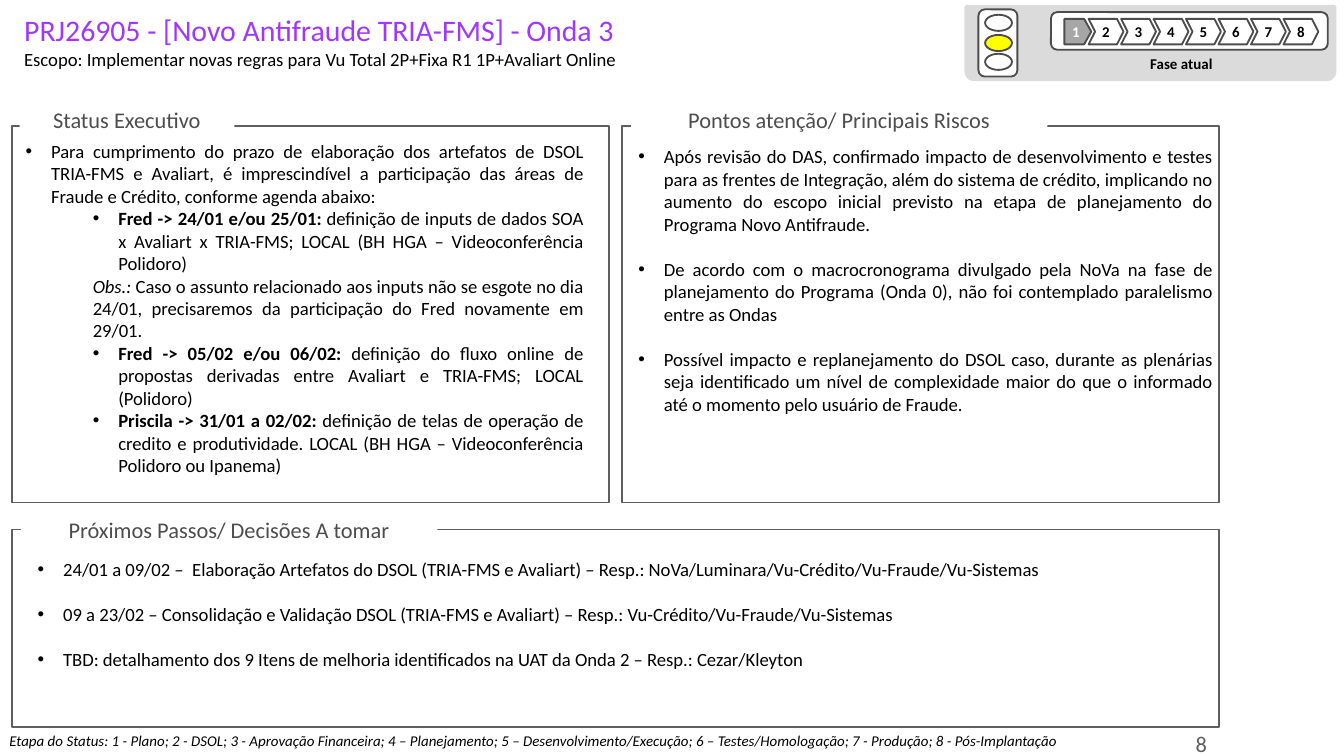
from lxml import etree
from pptx import Presentation
from pptx.dml.color import RGBColor
from pptx.enum import shapes, text
from pptx.oxml import ns
from pptx.util import Inches, Pt

BLACK = RGBColor(0x00, 0x00, 0x00)
WHITE = RGBColor(0xFF, 0xFF, 0xFF)
PURPLE = RGBColor(0xA0, 0x37, 0xFF)
DARK = RGBColor(0x4D, 0x4D, 0x4D)
MID = RGBColor(0x5F, 0x5F, 0x5F)
SILVER = RGBColor(0xA6, 0xA6, 0xA6)
PALE = RGBColor(0xDB, 0xDB, 0xDC)
YELLOW = RGBColor(0xFF, 0xFF, 0x00)

FORM = shapes.MSO_SHAPE
ALIGN = text.PP_ALIGN
ANCHOR = text.MSO_ANCHOR

prs = Presentation()
prs.slide_width, prs.slide_height = Inches(10), Inches(10 * 9 / 16)
slide = prs.slides.add_slide(prs.slide_layouts[4])  # Comparison


def draw(form, box, fill=None, line=DARK, weight=1, adjust=()):
    """Add a flat preset shape; without a fill it is hollow."""
    shape = slide.shapes.add_shape(form, *map(Inches, box))
    shape.shadow.inherit = False
    if fill is None:
        shape.fill.background()
    else:
        shape.fill.solid()
        shape.fill.fore_color.rgb = fill
    shape.line.color.rgb = line
    shape.line.width = Pt(weight)
    for i, value in enumerate(adjust):
        shape.adjustments[i] = value
    return shape


def write(shape, runs, size, color, align=ALIGN.LEFT, margins=(0.04, 0, 0.04, 0),
          anchor=ANCHOR.MIDDLE, wrap=False, paragraph=None):
    """Set the frame of a shape and add (text, style) runs to one paragraph."""
    frame = shape.text_frame
    settings = dict(word_wrap=wrap, auto_size=text.MSO_AUTO_SIZE.NONE,
                    vertical_anchor=anchor)
    for side, inches in zip(("left", "top", "right", "bottom"), margins):
        settings["margin_" + side] = Inches(inches)
    for name, value in settings.items():
        setattr(frame, name, value)
    paragraph = paragraph or frame.paragraphs[0]
    paragraph.alignment = align
    for words, style in runs:
        run = paragraph.add_run()
        run.text = words
        run.font.name, run.font.size = "Calibri", Pt(size)
        run.font.color.rgb = color
        run.font.bold, run.font.italic = style == "bold", style == "italic"
    return paragraph


# Heading
title = slide.shapes.title
title.left, title.top, title.width, title.height = map(Inches, (0.18, 0.09, 5.2, 0.58))
heading = write(title, [("PRJ26905 - [Novo Antifraude TRIA-FMS] - Onda 3", "")], 16, PURPLE,
                margins=(0, 0, 0, 0), anchor=ANCHOR.TOP, wrap=True)
heading.add_line_break()
write(title, [("Escopo: Implementar novas regras para Vu Total 2P+Fixa R1 1P+Avaliart Online", "")],
      10, BLACK, margins=(0, 0, 0, 0), anchor=ANCHOR.TOP, wrap=True)

# Lists: placeholder, box, margins, alignment, gap in points, items (indent, bulleted, runs)
status = [
    (0.19, True, [("Para cumprimento do prazo de elaboração dos artefatos de DSOL TRIA-FMS e "
                   "Avaliart, é imprescindível a participação das áreas de Fraude e Crédito, "
                   "conforme agenda abaixo:", "")]),
    (0.69, True, [("Fred -> 24/01 e/ou 25/01:", "bold"),
                  (" definição de inputs de dados SOA x Avaliart x TRIA-FMS; LOCAL "
                   "(BH HGA – Videoconferência Polidoro)", "")]),
    (0.5, False, [("Obs.:", "italic"),
                  (" Caso o assunto relacionado aos inputs não se esgote no dia 24/01, "
                   "precisaremos da participação do Fred novamente em 29/01.", "")]),
    (0.69, True, [("Fred -> 05/02 e/ou 06/02:", "bold"),
                  (" definição do fluxo online de propostas derivadas entre Avaliart e "
                   "TRIA-FMS; LOCAL (Polidoro)", "")]),
    (0.69, True, [("Priscila -> 31/01 a 02/02: ", "bold"),
                  ("definição de telas de operação de credito e produtividade. LOCAL "
                   "(BH HGA – Videoconferência Polidoro ou Ipanema)", "")]),
]
risks = [(0.19, True, [(words, "")]) for words in (
    "Após revisão do DAS, confirmado impacto de desenvolvimento e testes para as frentes de "
    "Integração, além do sistema de crédito, implicando no aumento do escopo inicial previsto "
    "na etapa de planejamento do Programa Novo Antifraude.",
    "De acordo com o macrocronograma divulgado pela NoVa na fase de planejamento do Programa "
    "(Onda 0), não foi contemplado paralelismo entre as Ondas",
    "Possível impacto e replanejamento do DSOL caso, durante as plenárias seja identificado um "
    "nível de complexidade maior do que o informado até o momento pelo usuário de Fraude.",
)]
steps = [(0.19, True, [(words, "")]) for words in (
    "24/01 a 09/02 –  Elaboração Artefatos do DSOL (TRIA-FMS e Avaliart) – Resp.: "
    "NoVa/Luminara/Vu-Crédito/Vu-Fraude/Vu-Sistemas",
    "09 a 23/02 – Consolidação e Validação DSOL (TRIA-FMS e Avaliart) – Resp.: "
    "Vu-Crédito/Vu-Fraude/Vu-Sistemas",
    "TBD: detalhamento dos 9 Itens de melhoria identificados na UAT da Onda 2 – Resp.: "
    "Cezar/Kleyton",
)]
wide, narrow = (0.1, 0.05, 0.1, 0.05), (0.04, 0.04, 0.04, 0.04)
lists = [
    (2, (0.09, 0.99, 4.35, 2.63), wide, ALIGN.JUSTIFY, 0, status),
    (4, (4.71, 1.04, 4.35, 2.1), narrow, ALIGN.JUSTIFY, 12.2, risks),
    (1, (0.18, 4.1, 8.88, 1.25), wide, ALIGN.LEFT, 12.2, steps),
]
bodies = {holder.placeholder_format.idx: holder for holder in slide.placeholders}
for idx, box, margins, align, gap, items in lists:
    body = bodies[idx]
    body.left, body.top, body.width, body.height = map(Inches, box)
    for n, (indent, bulleted, runs) in enumerate(items):
        frame = body.text_frame
        item = frame.add_paragraph() if n else frame.paragraphs[0]
        write(body, runs, 10, BLACK, align, margins, ANCHOR.TOP, True, item)
        item.space_before, item.space_after = Pt(gap if n else 0), Pt(0)
        props = item._p.get_or_add_pPr()
        props.set("marL", str(Inches(indent)))
        props.set("indent", str(Inches(-0.19 if bulleted else 0)))
        if bulleted:
            etree.SubElement(props, ns.qn("a:buFont")).set("typeface", "Arial")
            etree.SubElement(props, ns.qn("a:buChar")).set("char", "•")
        else:
            etree.SubElement(props, ns.qn("a:buNone"))
unused = bodies[3].element
unused.getparent().remove(unused)

# Section frames, each with a label that breaks its top edge
sections = [
    ("Status Executivo", (0.09, 0.94, 4.44, 2.8), (0.16, 0.78, 1.57, 0.22)),
    ("Pontos atenção/ Principais Riscos", (4.63, 0.94, 4.44, 2.8), (4.71, 0.78, 3.07, 0.22)),
    ("Próximos Passos/ Decisões A tomar", (0.09, 3.94, 8.98, 1.47), (0.17, 3.83, 3.07, 0.22)),
]
for name, border, tab in sections:
    draw(FORM.RECTANGLE, border, line=MID)
    label = draw(FORM.ROUNDED_RECTANGLE, tab, WHITE, WHITE, 2)
    write(label, [(name, "")], 12, DARK, ALIGN.CENTER)

# Status panel: traffic light and current phase
panel = draw(FORM.ROUND_2_SAME_RECTANGLE, (7.19, 0.05, 2.74, 0.54), PALE, PALE, 2, (0.106, 0))
panel.rotation = 180
draw(FORM.ROUNDED_RECTANGLE, (7.28, 0.07, 0.29, 0.5), WHITE)
for top, light in ((0.11, WHITE), (0.26, YELLOW), (0.4, WHITE)):
    draw(FORM.OVAL, (7.33, top, 0.2, 0.12), light)

draw(FORM.ROUNDED_RECTANGLE, (7.82, 0.09, 2.06, 0.28), WHITE)
first = draw(FORM.PENTAGON, (7.92, 0.14, 0.2, 0.19), SILVER, adjust=(0.28,))
write(first, [("1", "bold")], 8, WHITE, ALIGN.CENTER)
for phase in range(2, 9):
    left = 8.1 + (phase - 2) * 1.45 / 6
    step = draw(FORM.CHEVRON, (left, 0.14, 0.26, 0.19), WHITE, adjust=(0.255,))
    write(step, [(str(phase), "bold")], 8, BLACK, ALIGN.CENTER)
caption = slide.shapes.add_textbox(*map(Inches, (8.1, 0.41, 1.38, 0.13)))
write(caption, [("Fase atual", "bold")], 8, BLACK, ALIGN.CENTER, anchor=ANCHOR.BOTTOM)

# Footer
legend = slide.shapes.add_textbox(*map(Inches, (0, 5.44, 9.06, 0.18)))
write(legend, [("Etapa do Status: 1 - Plano; 2 - DSOL; 3 - Aprovação Financeira; 4 – Planejamento; "
                "5 – Desenvolvimento/Execução; 6 – Testes/Homologação; 7 - Produção; "
                "8 - Pós-Implantação", "italic")],
      8, BLACK, margins=(0.07, 0, 0.1, 0), anchor=ANCHOR.TOP, wrap=True)
number = slide.shapes.add_textbox(*map(Inches, (8.6, 5.41, 0.48, 0.24)))
write(number, [("8", "")], 12, MID, ALIGN.RIGHT, wide, wrap=True)

prs.save("out.pptx")
